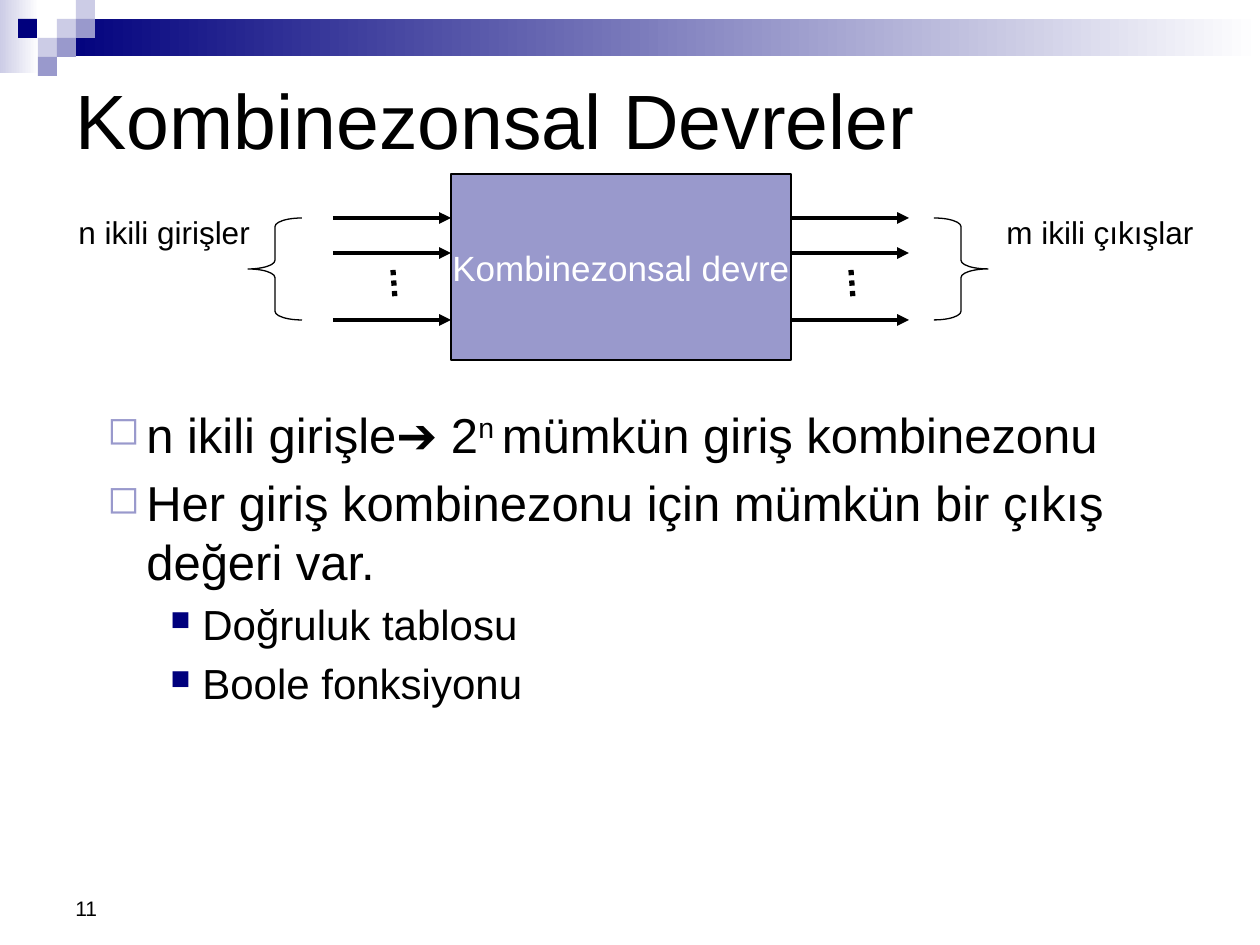
from lxml.etree import SubElement
from pptx import Presentation
from pptx.dml.color import RGBColor
from pptx.enum.dml import MSO_LINE
from pptx.enum.shapes import MSO_CONNECTOR, MSO_SHAPE
from pptx.enum.text import MSO_ANCHOR, PP_ALIGN
from pptx.oxml.ns import qn
from pptx.util import Emu, Pt

PX = 914400 / 126
NAVY = RGBColor(0x00, 0x00, 0x7D)
LAVENDER = RGBColor(0x99, 0x99, 0xCC)
PALE = RGBColor(0xCC, 0xCC, 0xE6)
WHITE = RGBColor(0xFF, 0xFF, 0xFF)
BLACK = RGBColor(0x00, 0x00, 0x00)

BULLETS = {
    1: {"char": "◻", "color": LAVENDER, "percent": 80, "left": 102, "hanging": 39, "size": 28},
    2: {"char": "■", "color": NAVY, "percent": 65, "left": 158, "hanging": 32, "size": 24},
}
BODY = [
    (1, [("n ikili girişle➔ 2", False), ("n ", True), ("mümkün giriş kombinezonu", False)]),
    (1, [("Her giriş kombinezonu için mümkün bir çıkış değeri var.", False)]),
    (2, [("Doğruluk tablosu", False)]),
    (2, [("Boole fonksiyonu", False)]),
]


def px(*values):
    return [Emu(round(value * PX)) for value in values]


def apply(target, formats):
    for name, value in formats.items():
        setattr(target, name, value)


def add_run(paragraph, text, size, color=BLACK):
    run = paragraph.add_run()
    run.text = text
    apply(run.font, {"name": "Arial", "size": Pt(size)})
    run.font.color.rgb = color
    return run


def add_text(slide, box, text, size, wrap=True, anchor=MSO_ANCHOR.TOP):
    frame = slide.shapes.add_textbox(*px(*box)).text_frame
    apply(frame, {"word_wrap": wrap, "vertical_anchor": anchor})
    add_run(frame.paragraphs[0], text, size)


def add_block(slide, kind, box, fill=None, gradient=None, outlined=False):
    shape = slide.shapes.add_shape(kind, *px(*box))
    shape.shadow.inherit = False
    if gradient:
        shape.fill.gradient()
        shape.fill.gradient_angle = 0
        for stop, color in zip(shape.fill.gradient_stops, gradient):
            stop.color.rgb = color
    elif fill is not None:
        shape.fill.solid()
        shape.fill.fore_color.rgb = fill
    else:
        shape.fill.background()
    if outlined:
        shape.line.color.rgb = BLACK
        shape.line.width = Pt(0.75)
    else:
        shape.line.fill.background()
    return shape


def add_line(slide, ends, width, dash=None, arrow=False):
    connector = slide.shapes.add_connector(MSO_CONNECTOR.STRAIGHT, *px(*ends))
    connector.line.color.rgb = BLACK
    apply(connector.line, {"width": Pt(width), "dash_style": dash})
    if arrow:
        SubElement(connector.line._get_or_add_ln(), qn("a:tailEnd"), type="triangle")
    SubElement(connector._element.spPr, qn("a:effectLst"))


def add_banner(slide, box):
    left, top, width, height = box
    bars = [((left, top, 39, height), PALE), ((left + 57, top + 19, width - 57, 37), NAVY)]
    for bar, color in bars:
        add_block(slide, MSO_SHAPE.RECTANGLE, bar, gradient=[color, WHITE])
    squares = [(57, 19, PALE), (76, 0, PALE), (76, 19, LAVENDER), (38, 38, PALE),
               (18, 19, NAVY), (57, 38, LAVENDER), (38, 57, LAVENDER)]
    for x, y, color in squares:
        add_block(slide, MSO_SHAPE.RECTANGLE, (left + x, top + y, 19, 19), color)


def add_title(slide, box):
    title = slide.shapes.title
    apply(title, dict(zip(("left", "top", "width", "height"), px(*box))))
    apply(title.text_frame, {"word_wrap": True, "vertical_anchor": MSO_ANCHOR.MIDDLE})
    paragraph = title.text_frame.paragraphs[0]
    paragraph.alignment = PP_ALIGN.LEFT
    add_run(paragraph, "Kombinezonsal Devreler", 44)


def add_circuit(slide, box):
    left, top, width, height = box
    block = (left + 385, top, 340, height)
    circuit = add_block(slide, MSO_SHAPE.RECTANGLE, block, LAVENDER, outlined=True)
    apply(circuit.text_frame, {"word_wrap": False, "vertical_anchor": MSO_ANCHOR.MIDDLE})
    paragraph = circuit.text_frame.paragraphs[0]
    paragraph.alignment = PP_ALIGN.CENTER
    add_run(paragraph, "Kombinezonsal devre", 20, WHITE)
    sides = [
        (267, 182, MSO_SHAPE.LEFT_BRACE, 0, 199, "n ikili girişler"),
        (725, 868, MSO_SHAPE.RIGHT_BRACE, 928, 214, "m ikili çıkışlar"),
    ]
    for arrow_x, brace_x, brace_kind, label_x, label_width, label in sides:
        start = left + arrow_x
        for y in (44, 79, 146):
            add_line(slide, (start, top + y, start + 118, top + y), 2.25, arrow=True)
        add_line(slide, (start + 60, top + 96, start + 62, top + 125), 3, MSO_LINE.ROUND_DOT)
        brace = add_block(slide, brace_kind, (left + brace_x, top + 44, 54, 102), outlined=True)
        brace.adjustments[0] = 0.16
        add_text(slide, (left + label_x, top + 33, label_width, 50), label, 18, wrap=False)


def add_bullet(paragraph, bullet):
    properties = paragraph._p.get_or_add_pPr()
    left, hanging = px(bullet["left"], bullet["hanging"])
    properties.set("marL", str(left))
    properties.set("indent", str(-hanging))
    color = SubElement(properties, qn("a:buClr"))
    SubElement(color, qn("a:srgbClr"), val=str(bullet["color"]))
    SubElement(properties, qn("a:buSzPct"), val=str(bullet["percent"] * 1000))
    SubElement(properties, qn("a:buChar"), char=bullet["char"])


def add_body(slide, box):
    frame = slide.shapes.add_textbox(*px(*box)).text_frame
    frame.word_wrap = True
    for index, (level, parts) in enumerate(BODY):
        paragraph = frame.add_paragraph() if index else frame.paragraphs[0]
        bullet = BULLETS[level]
        apply(paragraph, {"level": level, "space_before": Pt(bullet["size"] * 0.2)})
        add_bullet(paragraph, bullet)
        for text, raised in parts:
            run = add_run(paragraph, text, bullet["size"])
            if raised:
                run.font._element.set("baseline", "30000")


def main():
    presentation = Presentation()
    apply(presentation, dict(zip(("slide_width", "slide_height"), px(1260, 945))))
    slide = presentation.slides.add_slide(presentation.slide_layouts[5])
    add_banner(slide, (0, 0, 1260, 73))
    add_text(slide, (63, 861, 294, 66), "11", 12, anchor=MSO_ANCHOR.BOTTOM)
    add_title(slide, (63, 63, 1134, 112))
    add_body(slide, (32, 398, 1207, 501))
    add_circuit(slide, (66, 174, 1142, 186))
    presentation.save("out.pptx")


if __name__ == "__main__":
    main()
